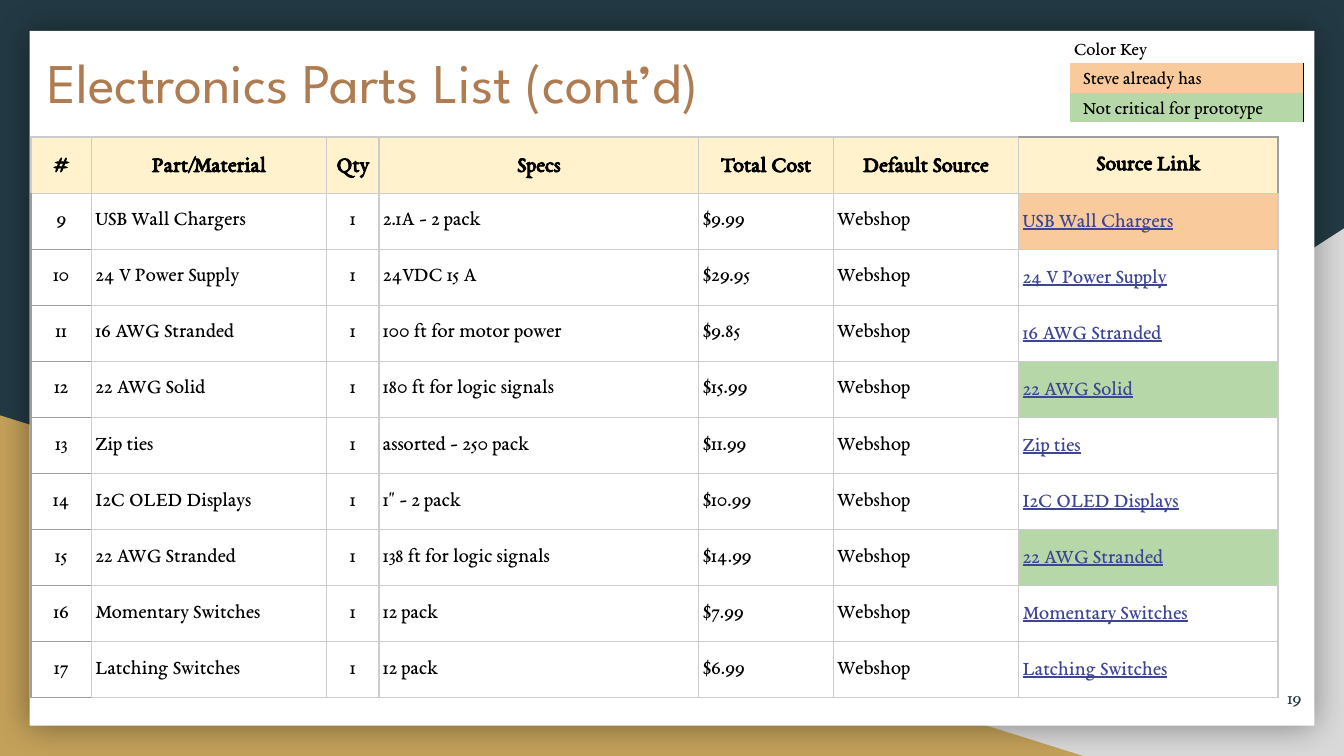
"""Build the electronics parts list slide with its colour key."""
from dataclasses import dataclass

from lxml import etree
from pptx import Presentation
from pptx.dml.color import RGBColor
from pptx.enum.shapes import MSO_SHAPE
from pptx.enum.text import MSO_ANCHOR, MSO_AUTO_SIZE, PP_ALIGN
from pptx.oxml.ns import qn
from pptx.util import Inches, Pt

RECTANGLE, TRIANGLE = MSO_SHAPE.RECTANGLE, MSO_SHAPE.RIGHT_TRIANGLE
TOP, MIDDLE, BOTTOM = MSO_ANCHOR.TOP, MSO_ANCHOR.MIDDLE, MSO_ANCHOR.BOTTOM
LEFT, CENTER, RIGHT = PP_ALIGN.LEFT, PP_ALIGN.CENTER, PP_ALIGN.RIGHT
NO_AUTOFIT = MSO_AUTO_SIZE.NONE

SLIDE_WIDTH = 10
SLIDE_HEIGHT = SLIDE_WIDTH * 9 / 16
BODY_FONT, TITLE_FONT = "EB Garamond", "League Spartan"
NAVY, GOLD, SILVER, WHITE, BLACK = "233A44", "C4A15A", "D9D9D9", "FFFFFF", "000000"
BROWN, LINK, CREAM, ORANGE, GREEN = "AF7B51", "3D4594", "FFF2CC", "F9CB9C", "B6D7A8"
LIGHT_GRID, DARK_GRID = "CCCCCC", "9E9E9E"
TIGHT, WIDE, KEY_INDENT = (0.03, 0.02), (0.1, 0.1), (0.1, 0.02)


@dataclass
class Part:
    number: int
    name: str
    specs: str
    cost: str
    fill: str = ""


@dataclass
class TextStyle:
    size: float = 11
    color: str = BLACK
    font: str = BODY_FONT
    bold: bool = False
    underline: bool = False
    align: PP_ALIGN = LEFT
    spacing: float = 1.0


@dataclass
class CellStyle:
    text: TextStyle
    margins: tuple = TIGHT
    anchor: MSO_ANCHOR = MIDDLE
    fill: str = ""
    borders: tuple = (LIGHT_GRID,) * 4


SOURCE = "Webshop"
HEADERS = ["#", "Part/Material", "Qty", "Specs", "Total Cost", "Default Source", "Source Link"]
COLUMN_WIDTHS = [0.45, 1.75, 0.39, 2.38, 1, 1.38, 1.93]
TABLE_HEIGHT = 4.17
PARTS = [
    Part(9, "USB Wall Chargers", "2.1A - 2 pack", "$9.99", ORANGE),
    Part(10, "24 V Power Supply", "24VDC 15 A", "$29.95"),
    Part(11, "16 AWG Stranded", "100 ft for motor power", "$9.85"),
    Part(12, "22 AWG Solid", "180 ft for logic signals", "$15.99", GREEN),
    Part(13, "Zip ties", "assorted - 250 pack", "$11.99"),
    Part(14, "I2C OLED Displays", '1" - 2 pack', "$10.99"),
    Part(15, "22 AWG Stranded", "138 ft for logic signals", "$14.99", GREEN),
    Part(16, "Momentary Switches", "12 pack", "$7.99"),
    Part(17, "Latching Switches", "12 pack", "$6.99"),
]


def rgb(color: str) -> RGBColor:
    return RGBColor.from_string(color)


def write_text(frame, text: str, style: TextStyle) -> None:
    paragraph = frame.paragraphs[0]
    paragraph.alignment = style.align
    paragraph.line_spacing = style.spacing
    run = paragraph.add_run()
    run.text = text
    run.font.name = style.font
    run.font.size = Pt(style.size)
    run.font.bold = style.bold
    run.font.underline = style.underline
    run.font.color.rgb = rgb(style.color)


def set_frame(frame, anchor: MSO_ANCHOR) -> None:
    frame.word_wrap = True
    frame.auto_size = NO_AUTOFIT
    frame.vertical_anchor = anchor
    frame.margin_left = frame.margin_right = Inches(0.1)
    frame.margin_top = frame.margin_bottom = Inches(0.1)


def place(shape, left: float, top: float, width: float, height: float) -> None:
    shape.left, shape.top = Inches(left), Inches(top)
    shape.width, shape.height = Inches(width), Inches(height)


def add_block(slide, kind: MSO_SHAPE, box: tuple, color: str):
    shape = slide.shapes.add_shape(kind, *map(Inches, box))
    shape.shadow.inherit = False
    shape.fill.solid()
    shape.fill.fore_color.rgb = rgb(color)
    shape.line.fill.background()
    return shape


def add_soft_shadow(shape) -> None:
    effects = shape.element.spPr.find(qn("a:effectLst"))
    shadow = etree.SubElement(effects, qn("a:outerShdw"), blurRad=str(Pt(18)), dist="0")
    color = etree.SubElement(shadow, qn("a:srgbClr"), val=BLACK)
    etree.SubElement(color, qn("a:alpha"), val="40000")


def set_borders(cell, colors: tuple) -> None:
    properties = cell._tc.get_or_add_tcPr()
    for side, color in zip("LRTB", colors):
        line = etree.SubElement(properties, qn(f"a:ln{side}"), w=str(Pt(0.75)))
        if color:
            fill = etree.SubElement(line, qn("a:solidFill"))
            etree.SubElement(fill, qn("a:srgbClr"), val=color)
        else:
            etree.SubElement(line, qn("a:noFill"))


def write_cell(cell, text: str, style: CellStyle) -> None:
    horizontal, vertical = map(Inches, style.margins)
    cell.margin_left = cell.margin_right = horizontal
    cell.margin_top = cell.margin_bottom = vertical
    cell.vertical_anchor = style.anchor
    set_borders(cell, style.borders)
    if style.fill:
        cell.fill.solid()
        cell.fill.fore_color.rgb = rgb(style.fill)
    else:
        cell.fill.background()
    write_text(cell.text_frame, text, style.text)


def add_grid(slide, left: float, top: float, widths: list, height: float, rows: int):
    size = map(Inches, (left, top, sum(widths), height))
    table = slide.shapes.add_table(rows, len(widths), *size).table
    table.first_row = table.horz_banding = False
    for column, width in zip(table.columns, widths):
        column.width = Inches(width)
    return table


def add_parts_table(slide) -> None:
    table = add_grid(slide, 0.23, 1.02, COLUMN_WIDTHS, TABLE_HEIGHT, len(PARTS) + 1)
    heading = TextStyle(12, bold=True, align=CENTER, spacing=1.15)
    header = CellStyle(heading, fill=CREAM)
    link_header = CellStyle(TextStyle(12, bold=True, align=CENTER), WIDE, fill=CREAM,
                            borders=(LIGHT_GRID, DARK_GRID, DARK_GRID, LIGHT_GRID))
    for column, text in enumerate(HEADERS):
        style = link_header if text == "Source Link" else header
        write_cell(table.cell(0, column), text, style)

    plain, centered = CellStyle(TextStyle()), CellStyle(TextStyle(align=CENTER))
    for row, part in enumerate(PARTS, 1):
        upper = LIGHT_GRID if row == 1 else DARK_GRID
        number = CellStyle(TextStyle(align=CENTER), WIDE,
                           borders=(DARK_GRID, LIGHT_GRID, upper, DARK_GRID))
        link = CellStyle(TextStyle(color=LINK, underline=True, spacing=1.15), fill=part.fill)
        texts = [str(part.number), part.name, "1", part.specs, part.cost, SOURCE, part.name]
        styles = [number, plain, centered, plain, plain, plain, link]
        for column, (text, style) in enumerate(zip(texts, styles)):
            write_cell(table.cell(row, column), text, style)


def add_color_key(slide) -> None:
    entries = [("Color Key", TIGHT, "", ""),
               ("Steve already has", KEY_INDENT, ORANGE, BLACK),
               ("Not critical for prototype", KEY_INDENT, GREEN, BLACK)]
    table = add_grid(slide, 7.96, 0.25, [1.74], 0.66, len(entries))
    for row, (text, margins, fill, edge) in enumerate(entries):
        style = CellStyle(TextStyle(10, spacing=1.15), margins, BOTTOM, fill, ("", edge, "", ""))
        write_cell(table.cell(row, 0), text, style)


def main() -> None:
    presentation = Presentation()
    presentation.slide_width = Inches(SLIDE_WIDTH)
    presentation.slide_height = Inches(SLIDE_HEIGHT)
    slide = presentation.slides.add_slide(presentation.slide_layouts[5])
    slide.background.fill.solid()
    slide.background.fill.fore_color.rgb = rgb(NAVY)

    silver_corner = add_block(slide, TRIANGLE, (3.92, 1.7, 6.08, SLIDE_HEIGHT - 1.7), SILVER)
    silver_corner.element.spPr.xfrm.set("flipH", "1")
    add_block(slide, TRIANGLE, (0, 3.09, 8.06, SLIDE_HEIGHT - 3.09), GOLD)
    add_soft_shadow(add_block(slide, RECTANGLE, (0.22, 0.23, 9.56, 5.17), WHITE))

    page_number = slide.shapes.add_textbox(*map(Inches, (9.18, 4.97, 0.6, 0.43)))
    set_frame(page_number.text_frame, MIDDLE)
    write_text(page_number.text_frame, "19", TextStyle(10, NAVY, align=RIGHT))
    add_parts_table(slide)
    add_color_key(slide)

    title = slide.shapes.title
    title.element.getparent().append(title.element)
    place(title, 0.25, 0.25, 8.32, 0.67)
    set_frame(title.text_frame, TOP)
    write_text(title.text_frame, "Electronics Parts List (cont’d)", TextStyle(30, BROWN, TITLE_FONT))
    presentation.save("out.pptx")


if __name__ == "__main__":
    main()
